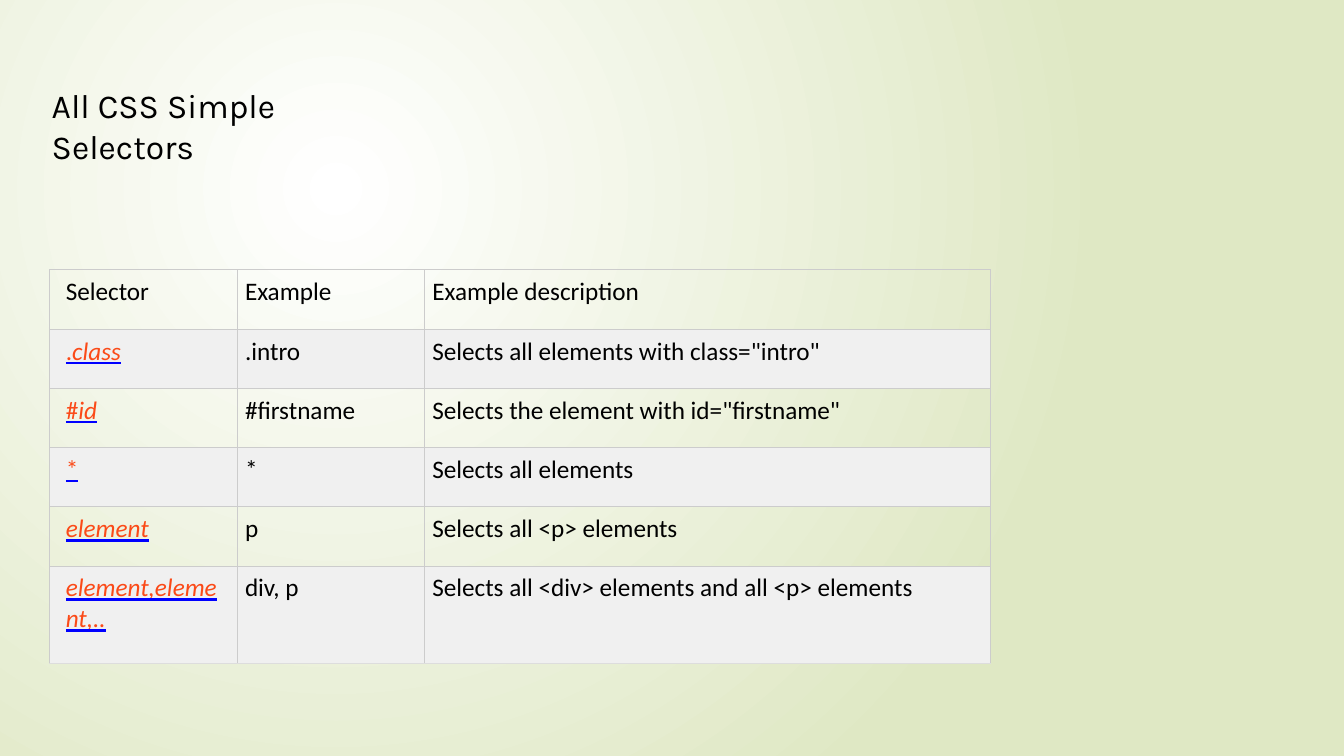
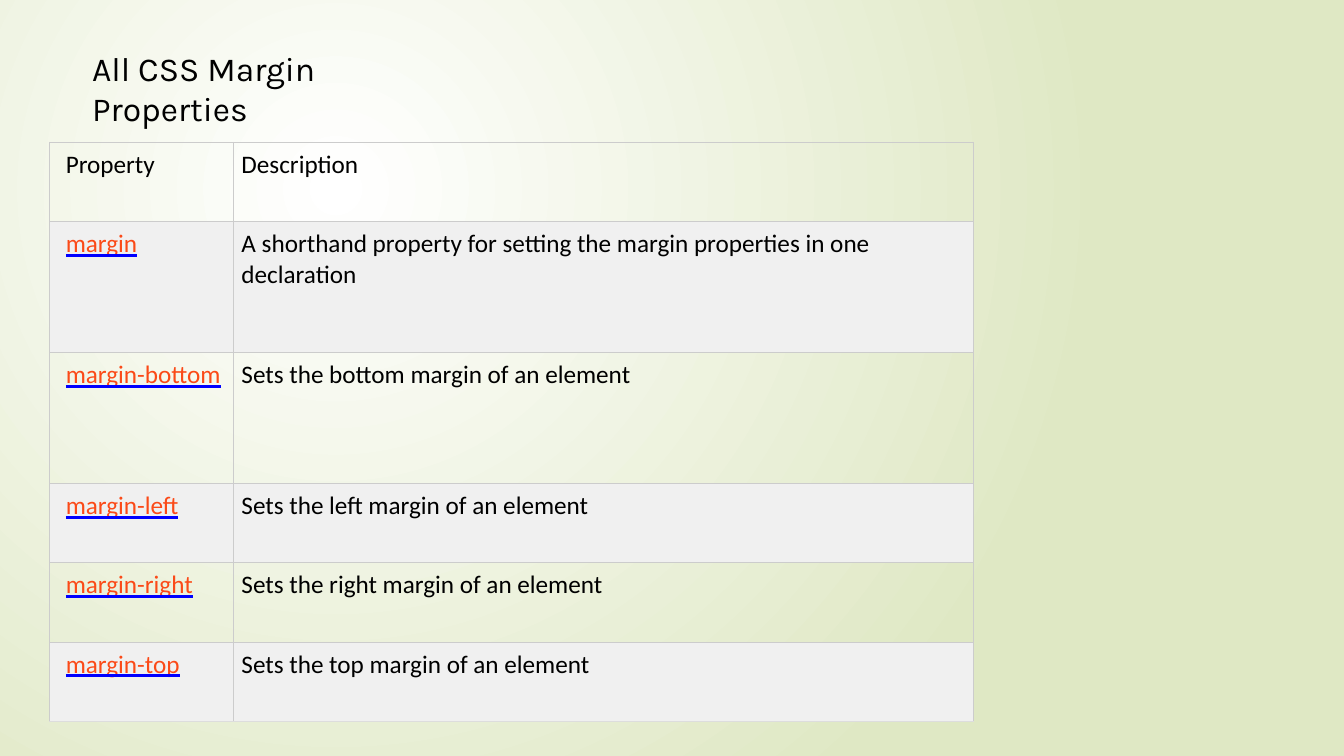
from lxml import etree
from pptx import Presentation
from pptx.dml.color import RGBColor
from pptx.oxml.ns import qn
from pptx.util import Pt

BLACK, LINK, RULE, FOOT = "000000", "FB4A18", "CCCCCC", "DDDDDD"
BAND, LINE, WHITE, GREEN = "F0F0F0", "0000FF", "FFFFFF", "DFE8C4"
LEFT = 35.5
INDENT, GAP = 11.5, 5.75

# First column of body rows: paragraphs of (text, italic) runs
SLIDES = [
    {
        "title": "All CSS Simple Selectors",
        "box": (36, 59.8, 256.3, 31),
        "top": 192.8,
        "cols": [133.8, 133.8, 404.4],
        "rows": [42.3, 42.3, 42.3, 42.3, 42.3, 69.7],
        "head": ["Selector", "Example", "Example description"],
        "body": [
            ([[(".", False), ("class", True)]],
             [".intro"], ['Selects all elements with class="intro"']),
            ([[("#", False), ("id", True)]],
             ["#firstname"], ['Selects the element with id="firstname"']),
            ([[("*", False)]], ["*"], ["Selects all elements"]),
            ([[("element", True)]], ["p"], ["Selects all <p> elements"]),
            ([[("element,eleme", True)], [("nt,..", True)]],
             ["div, p"], ["Selects all <div> elements and all <p> elements"]),
        ],
    },
    {
        "title": "All CSS Margin Properties",
        "box": (64.8, 33.1, 272.9, 31),
        "top": 101.7,
        "cols": [131.3, 528.7],
        "rows": [56.6, 93.6, 93.6, 56.6, 56.6, 56.6],
        "head": ["Property", "Description"],
        "body": [
            ([[("margin", False)]],
             ["A shorthand property for setting the margin properties in one",
              "declaration"]),
        ] + [
            ([[("margin-" + side, False)]],
             [f"Sets the {side} margin of an element"])
            for side in ("bottom", "left", "right", "top")
        ],
    },
]


def rgb(code):
    return RGBColor.from_string(code)


def solid(parent, tag, code):
    """Add a child that holds a solid colour."""
    node = etree.SubElement(parent, qn(tag))
    fill = etree.SubElement(node, qn("a:solidFill"))
    etree.SubElement(fill, qn("a:srgbClr"), val=code)
    return node


def style(font, name, size, code):
    font.name, font.size = name, Pt(size)
    font.color.rgb = rgb(code)


def paint(master):
    """Give all slides a round gradient centred at upper left."""
    fill = master.background.fill
    fill.gradient()
    for stop, code in zip(fill.gradient_stops, (WHITE, GREEN)):
        stop.color.rgb = rgb(code)
    grad = next(master._element.iter(qn("a:gradFill")))
    for lin in grad.findall(qn("a:lin")):
        grad.remove(lin)
    ring = etree.Element(qn("a:path"), path="circle")
    etree.SubElement(ring, qn("a:fillToRect"),
                     l="50000", t="50000", r="100000", b="100000")
    grad.find(qn("a:gsLst")).addnext(ring)


def add_title(slide, text, box):
    frame = slide.shapes.add_textbox(*map(Pt, box)).text_frame
    frame.word_wrap = True
    frame.margin_left = frame.margin_top = Pt(1)
    frame.margin_right = frame.margin_bottom = 0
    para = frame.paragraphs[0]
    para.text = text
    para.space_before = Pt(1)
    style(para.font, "Karla", 24, BLACK)


def add_link(para, parts):
    for text, slant in parts:
        run = para.add_run()
        run.text = text
        run.font.italic = slant
        run.font.underline = True
        solid(run.font._element, "a:uFill", LINE)


def fill_cell(cell, paras, first, band, last):
    # Borders come before the fill in the cell properties
    props = cell._tc.get_or_add_tcPr()
    for side in "LRTB":
        code = FOOT if last and side == "B" else RULE
        solid(props, "a:ln" + side, code).set("w", str(Pt(0.75)))
    if band:
        cell.fill.solid()
        cell.fill.fore_color.rgb = rgb(BAND)
    else:
        cell.fill.background()
    cell.margin_left = Pt(INDENT if first else GAP)
    cell.margin_top = Pt(5)
    cell.margin_right = cell.margin_bottom = 0
    frame = cell.text_frame
    for i, item in enumerate(paras):
        para = frame.add_paragraph() if i else frame.paragraphs[0]
        para.space_before = Pt(0 if i else 5)
        link = isinstance(item, list)
        style(para.font, "Calibri", 18, LINK if link else BLACK)
        if link:
            add_link(para, item)
        else:
            para.text = item


def add_grid(slide, data):
    cols, rows = data["cols"], data["rows"]
    table = slide.shapes.add_table(
        len(rows), len(cols), Pt(LEFT), Pt(data["top"]),
        Pt(sum(cols)), Pt(sum(rows))).table
    table.first_row = table.horz_banding = False
    for col, width in zip(table.columns, cols):
        col.width = Pt(width)
    for row, height in zip(table.rows, rows):
        row.height = Pt(height)
    lines = [[[text] for text in data["head"]]] + data["body"]
    for r, line in enumerate(lines):
        for c, paras in enumerate(line):
            fill_cell(table.cell(r, c), paras, c == 0, r % 2 == 1,
                      r == len(lines) - 1)


def main():
    prs = Presentation()
    prs.slide_width, prs.slide_height = Pt(960), Pt(540)
    paint(prs.slide_master)
    for data in SLIDES:
        slide = prs.slides.add_slide(prs.slide_layouts[6])
        add_grid(slide, data)
        add_title(slide, data["title"], data["box"])
    prs.save("out.pptx")


if __name__ == "__main__":
    main()
